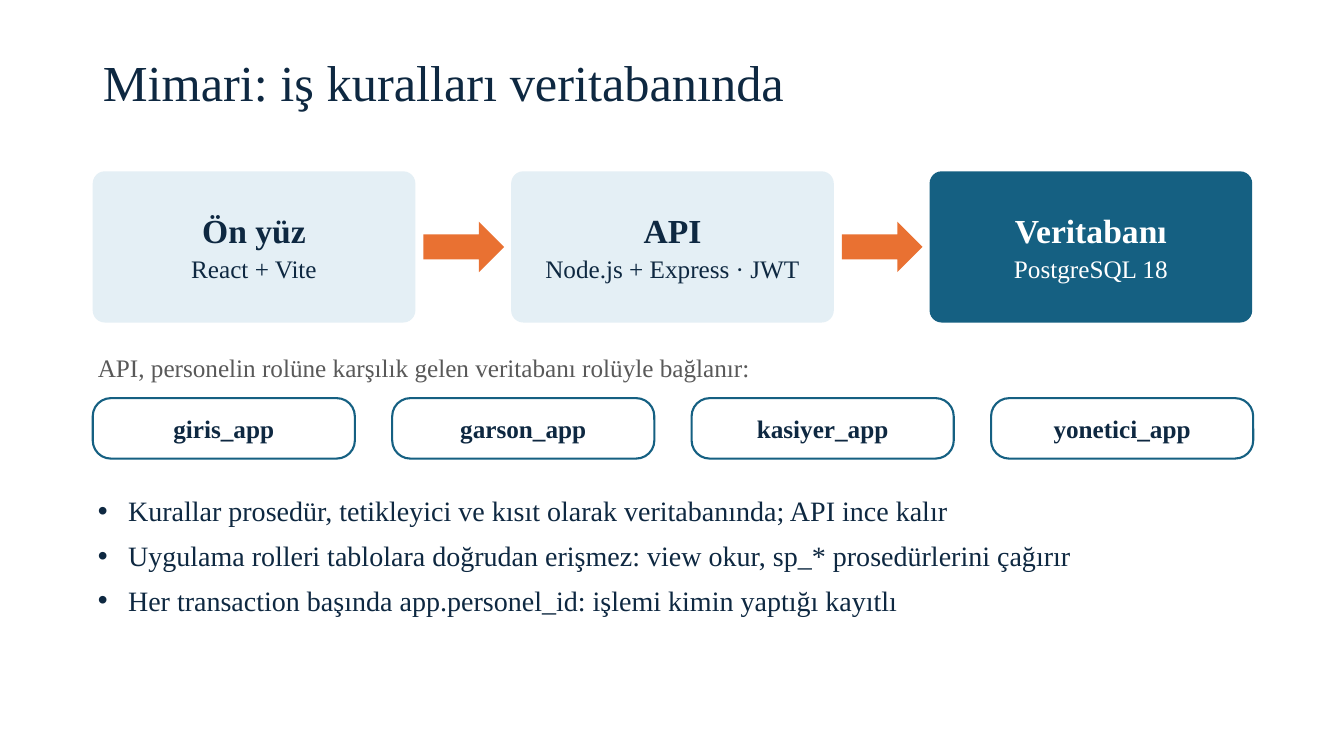
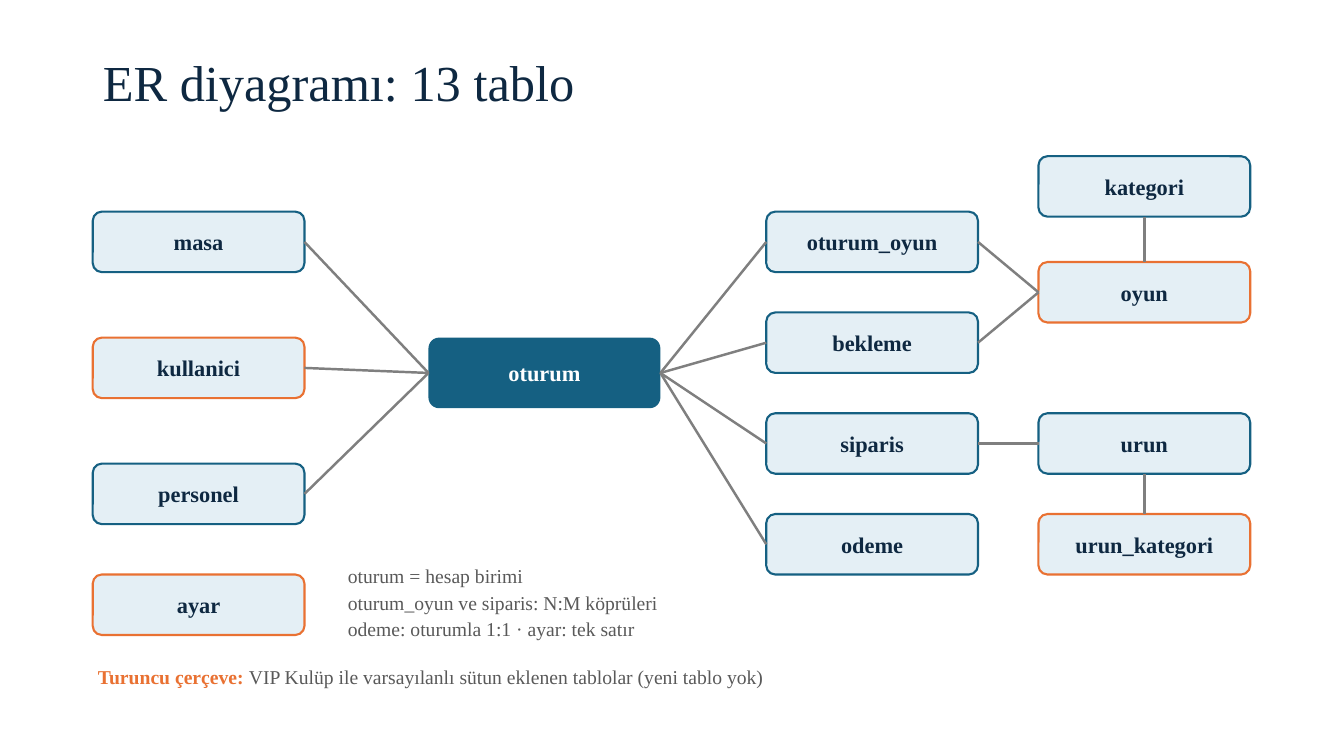
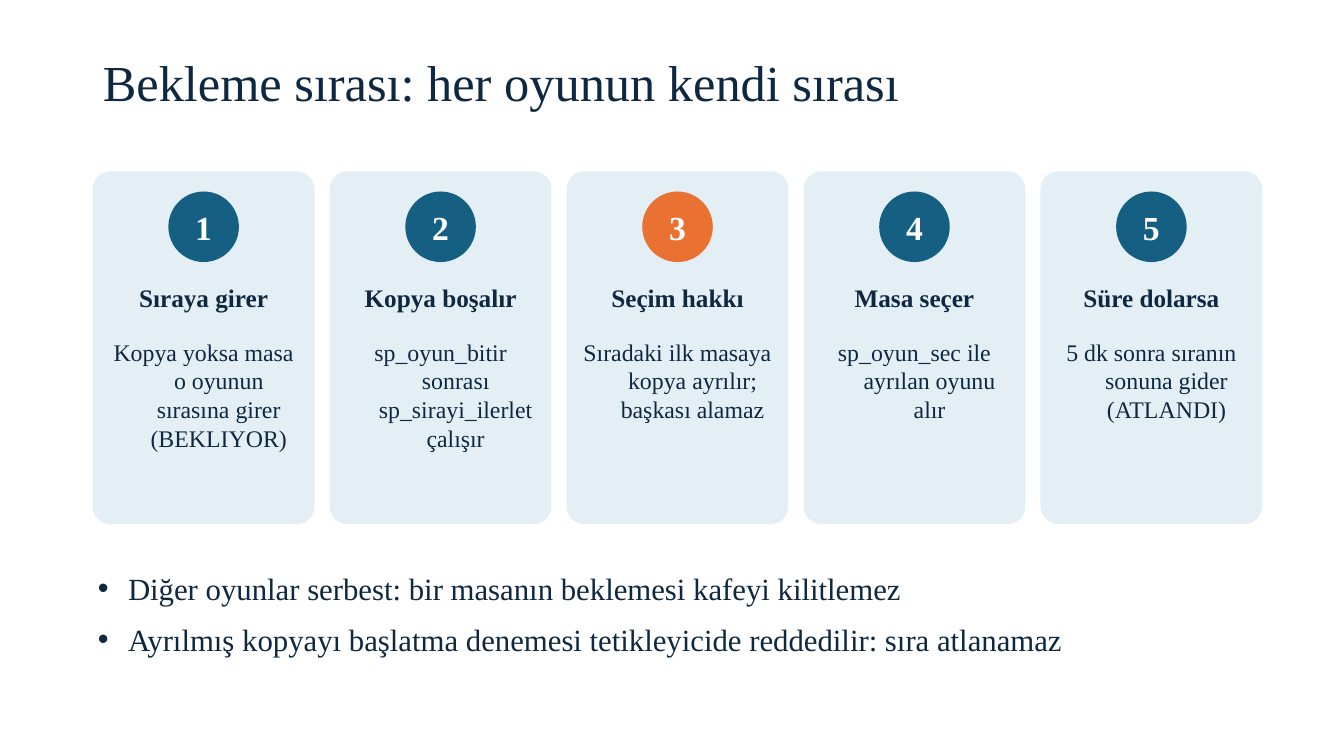
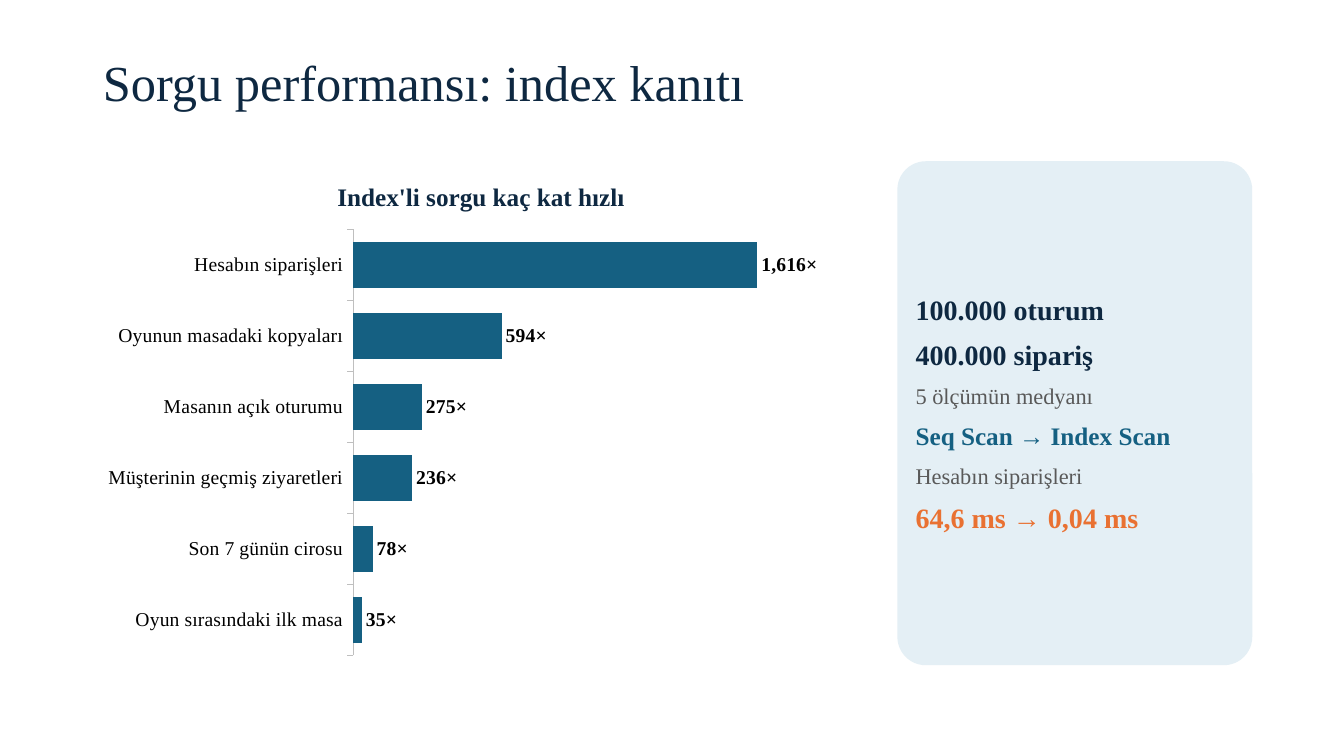
from lxml import etree
from pptx import Presentation
from pptx import util as u
from pptx.chart.data import CategoryChartData
from pptx.dml.color import RGBColor
from pptx.enum import chart as ch
from pptx.enum import shapes, text
from pptx.oxml.ns import qn

FONT = "Times New Roman"
COLORS = {
    "navy": "0E2841",
    "teal": "156082",
    "orange": "E97132",
    "pale": "E4EFF5",
    "white": "FFFFFF",
    "gray": "595959",
    "wire": "7F7F7F",
    "axis": "BFBFBF",
    "black": "000000",
}
LEFT = 0.92
WIDTH = 11.5
INDENT = 0.3
TOP, LEFT_SIDE, BOTTOM, RIGHT_SIDE = range(4)
ROUND = shapes.MSO_SHAPE.ROUNDED_RECTANGLE


def rgb(name):
    return RGBColor.from_string(COLORS[name])


def box_of(*lengths):
    return [u.Inches(length) for length in lengths]


def style_font(font, size, color, bold=False):
    font.name = FONT
    font.size = u.Pt(size)
    font.bold = bold
    font.color.rgb = rgb(color)


def add_runs(p, runs):
    for words, size, color, bold in runs:
        r = p.add_run()
        r.text = words
        style_font(r.font, size, color, bold)


def write(tf, paragraphs, after, align=text.PP_ALIGN.LEFT, bullet=False):
    tf.word_wrap = True
    for i, runs in enumerate(paragraphs):
        p = tf.paragraphs[0] if i == 0 else tf.add_paragraph()
        p.alignment = align
        p.space_after = u.Pt(after)
        pPr = p._p.get_or_add_pPr()
        pPr.set("marL", str(u.Inches(INDENT)))
        pPr.set("indent", str(-u.Inches(INDENT)))
        if bullet:
            etree.SubElement(pPr, qn("a:buFont")).set("typeface", "Arial")
            etree.SubElement(pPr, qn("a:buChar")).set("char", "•")
        add_runs(p, runs)


def add_slide(prs, title):
    slide = prs.slides.add_slide(prs.slide_layouts[5])
    sp = slide.shapes.title
    sp.left, sp.top, sp.width, sp.height = box_of(LEFT, 0.35, WIDTH, 1)
    tf = sp.text_frame
    tf.word_wrap = True
    tf.auto_size = text.MSO_AUTO_SIZE.NONE
    tf.vertical_anchor = text.MSO_ANCHOR.MIDDLE
    p = tf.paragraphs[0]
    p.alignment = text.PP_ALIGN.LEFT
    p.line_spacing = 0.9
    add_runs(p, [(title, 36, "navy", False)])
    return slide


def add_block(slide, kind, at, fill, line=None, adj=None, paragraphs=(), after=2,
              align=text.PP_ALIGN.CENTER):
    sp = slide.shapes.add_shape(kind, *box_of(*at))
    sp.shadow.inherit = False
    sp.fill.solid()
    sp.fill.fore_color.rgb = rgb(fill)
    if line:
        sp.line.color.rgb = rgb(line)
        sp.line.width = u.Pt(1.5)
    else:
        sp.line.fill.background()
    if adj is not None:
        sp.adjustments[0] = adj
    sp.text_frame.vertical_anchor = text.MSO_ANCHOR.MIDDLE
    write(sp.text_frame, paragraphs, after, align)
    return sp


def add_text(slide, at, paragraphs, after=8, align=text.PP_ALIGN.LEFT, bullet=False):
    tf = slide.shapes.add_textbox(*box_of(*at)).text_frame
    tf.margin_left = tf.margin_right = tf.margin_top = tf.margin_bottom = u.Inches(0.05)
    tf.auto_size = text.MSO_AUTO_SIZE.SHAPE_TO_FIT_TEXT
    write(tf, paragraphs, after, align, bullet)


def add_bullets(slide, at, lines, size, after):
    add_text(slide, at, [[(line, size, "navy", False)] for line in lines], after, bullet=True)


def add_link(slide, start, start_site, end, end_site):
    line = slide.shapes.add_connector(shapes.MSO_CONNECTOR.STRAIGHT, 0, 0, 0, 0)
    line.begin_connect(start, start_site)
    line.end_connect(end, end_site)
    line.line.color.rgb = rgb("wire")
    line.line.width = u.Pt(1.75)
    etree.SubElement(line._element.spPr, qn("a:effectLst"))


def build_architecture(prs):
    slide = add_slide(prs, "Mimari: iş kuralları veritabanında")
    layers = [
        ("Ön yüz", "React + Vite", "pale", "navy"),
        ("API", "Node.js + Express · JWT", "pale", "navy"),
        ("Veritabanı", "PostgreSQL 18", "teal", "white"),
    ]
    for i, (name, tools, fill, ink) in enumerate(layers):
        x = LEFT + i * 4.15
        if i:
            add_block(slide, shapes.MSO_SHAPE.RIGHT_ARROW, (x - 0.87, 2.2, 0.8, 0.5), "orange")
        add_block(slide, ROUND, (x, 1.7, 3.2, 1.5), fill, adj=0.08,
                  paragraphs=[[(name, 24, ink, True)], [(tools, 18, ink, False)]])
    add_text(slide, (LEFT, 3.45, WIDTH, 0.45), [[(
        "API, personelin rolüne karşılık gelen veritabanı rolüyle bağlanır:",
        18, "gray", False)]])
    for i, role in enumerate(["giris_app", "garson_app", "kasiyer_app", "yonetici_app"]):
        add_block(slide, ROUND, (LEFT + i * 2.97, 3.95, 2.6, 0.6), "white", "teal", 0.3,
                  [[(role, 18, "navy", True)]])
    add_bullets(slide, (LEFT, 4.85, WIDTH, 2), [
        "Kurallar prosedür, tetikleyici ve kısıt olarak veritabanında; API ince kalır",
        "Uygulama rolleri tablolara doğrudan erişmez: view okur, sp_* prosedürlerini çağırır",
        "Her transaction başında app.personel_id: işlemi kimin yaptığı kayıtlı",
    ], 20, 8)


def build_er_diagram(prs):
    slide = add_slide(prs, "ER diyagramı: 13 tablo")
    columns = [
        (LEFT, [("masa", 2.1), ("kullanici", 3.35), ("personel", 4.6), ("ayar", 5.7)]),
        (7.6, [("oturum_oyun", 2.1), ("bekleme", 3.1), ("siparis", 4.1), ("odeme", 5.1)]),
        (10.3, [("kategori", 1.55), ("oyun", 2.6), ("urun", 4.1), ("urun_kategori", 5.1)]),
    ]
    extended = {"kullanici", "ayar", "oyun", "urun_kategori"}
    tables = {"oturum": add_block(slide, ROUND, (4.25, 3.35, 2.3, 0.7), "teal", adj=0.15,
                                  paragraphs=[[("oturum", 16, "white", True)]])}
    for x, entries in columns:
        for name, y in entries:
            line = "orange" if name in extended else "teal"
            tables[name] = add_block(slide, ROUND, (x, y, 2.1, 0.6), "pale", line, 0.15,
                                     [[(name, 16, "navy", True)]])
    across = [
        ("masa", "oturum"), ("kullanici", "oturum"), ("personel", "oturum"),
        ("oturum", "oturum_oyun"), ("oturum", "bekleme"), ("oturum", "siparis"),
        ("oturum", "odeme"), ("oturum_oyun", "oyun"), ("bekleme", "oyun"),
        ("siparis", "urun"),
    ]
    for start, end in across:
        add_link(slide, tables[start], RIGHT_SIDE, tables[end], LEFT_SIDE)
    for start, end in [("kategori", "oyun"), ("urun", "urun_kategori")]:
        add_link(slide, tables[start], BOTTOM, tables[end], TOP)
    notes = [
        "oturum = hesap birimi",
        "oturum_oyun ve siparis: N:M köprüleri",
        "odeme: oturumla 1:1 · ayar: tek satır",
    ]
    add_text(slide, (3.4, 5.55, 4, 1.2), [[(note, 14, "gray", False)] for note in notes], 2)
    add_text(slide, (LEFT, 6.55, WIDTH, 0.45), [[
        ("Turuncu çerçeve: ", 14, "orange", True),
        ("VIP Kulüp ile varsayılanlı sütun eklenen tablolar (yeni tablo yok)", 14, "gray", False),
    ]])


def build_queue(prs):
    slide = add_slide(prs, "Bekleme sırası: her oyunun kendi sırası")
    steps = [
        ("Sıraya girer", "Kopya yoksa masa o oyunun sırasına girer (BEKLIYOR)", "teal"),
        ("Kopya boşalır", "sp_oyun_bitir sonrası sp_sirayi_ilerlet çalışır", "teal"),
        ("Seçim hakkı", "Sıradaki ilk masaya kopya ayrılır; başkası alamaz", "orange"),
        ("Masa seçer", "sp_oyun_sec ile ayrılan oyunu alır", "teal"),
        ("Süre dolarsa", "5 dk sonra sıranın sonuna gider (ATLANDI)", "teal"),
    ]
    center = text.PP_ALIGN.CENTER
    for i, (name, detail, badge) in enumerate(steps):
        x = LEFT + i * 2.35
        add_block(slide, ROUND, (x, 1.7, 2.2, 3.5), "pale", adj=0.08)
        add_block(slide, shapes.MSO_SHAPE.OVAL, (x + 0.75, 1.9, 0.7, 0.7), badge,
                  paragraphs=[[(str(i + 1), 24, "white", True)]])
        add_text(slide, (x + 0.1, 2.75, 2, 0.5), [[(name, 18, "navy", True)]], align=center)
        add_text(slide, (x + 0.1, 3.3, 2, 1.8), [[(detail, 17, "navy", False)]], align=center)
    add_bullets(slide, (LEFT, 5.6, WIDTH, 1.4), [
        "Diğer oyunlar serbest: bir masanın beklemesi kafeyi kilitlemez",
        "Ayrılmış kopyayı başlatma denemesi tetikleyicide reddedilir: sıra atlanamaz",
    ], 22, 10)


def add_speed_chart(slide, at):
    speedups = {
        "Hesabın siparişleri": 1616,
        "Oyunun masadaki kopyaları": 594,
        "Masanın açık oturumu": 275,
        "Müşterinin geçmiş ziyaretleri": 236,
        "Son 7 günün cirosu": 78,
        "Oyun sırasındaki ilk masa": 35,
    }
    data = CategoryChartData()
    data.categories = list(speedups)
    data.add_series("Hız", list(speedups.values()))
    chart = slide.shapes.add_chart(ch.XL_CHART_TYPE.BAR_CLUSTERED, *box_of(*at), data).chart
    style_font(chart.font, 14, "black")
    chart.has_legend = False
    chart.has_title = True
    add_runs(chart.chart_title.text_frame.paragraphs[0],
             [("Index'li sorgu kaç kat hızlı", 18, "navy", True)])
    chart.chart_title.include_in_layout = False
    cat = chart.category_axis
    cat.reverse_order = True
    cat.has_major_gridlines = False
    cat.major_tick_mark = ch.XL_TICK_MARK.OUTSIDE
    cat.format.line.color.rgb = rgb("axis")
    cat.format.line.width = u.Pt(0.75)
    style_font(cat.tick_labels.font, 14, "black")
    val = chart.value_axis
    val.visible = False
    val.has_major_gridlines = False
    val.minimum_scale = 0
    val.maximum_scale = 2000
    plot = chart.plots[0]
    plot.gap_width = 55
    plot.vary_by_categories = False
    bars = plot.series[0]
    bars.format.fill.solid()
    bars.format.fill.fore_color.rgb = rgb("teal")
    labels = bars.data_labels
    labels.show_value = True
    labels.position = ch.XL_LABEL_POSITION.OUTSIDE_END
    labels.number_format = '#,##0"×"'
    labels.number_format_is_linked = False
    style_font(labels.font, 14, "black", True)


def build_performance(prs):
    slide = add_slide(prs, "Sorgu performansı: index kanıtı")
    add_speed_chart(slide, (LEFT, 1.6, 7.7, 5))
    facts = [
        ("100.000 oturum", 20, "navy", True),
        ("400.000 sipariş", 20, "navy", True),
        ("5 ölçümün medyanı", 16, "gray", False),
        ("Seq Scan → Index Scan", 18, "teal", True),
        ("Hesabın siparişleri", 16, "gray", False),
        ("64,6 ms → 0,04 ms", 20, "orange", True),
    ]
    add_block(slide, ROUND, (8.9, 1.6, 3.52, 5), "pale", adj=0.08,
              paragraphs=[[fact] for fact in facts], after=8, align=text.PP_ALIGN.LEFT)


def main():
    prs = Presentation()
    prs.slide_width, prs.slide_height = box_of(13.33, 7.5)
    build_architecture(prs)
    build_er_diagram(prs)
    build_queue(prs)
    build_performance(prs)
    prs.save("out.pptx")


if __name__ == "__main__":
    main()
